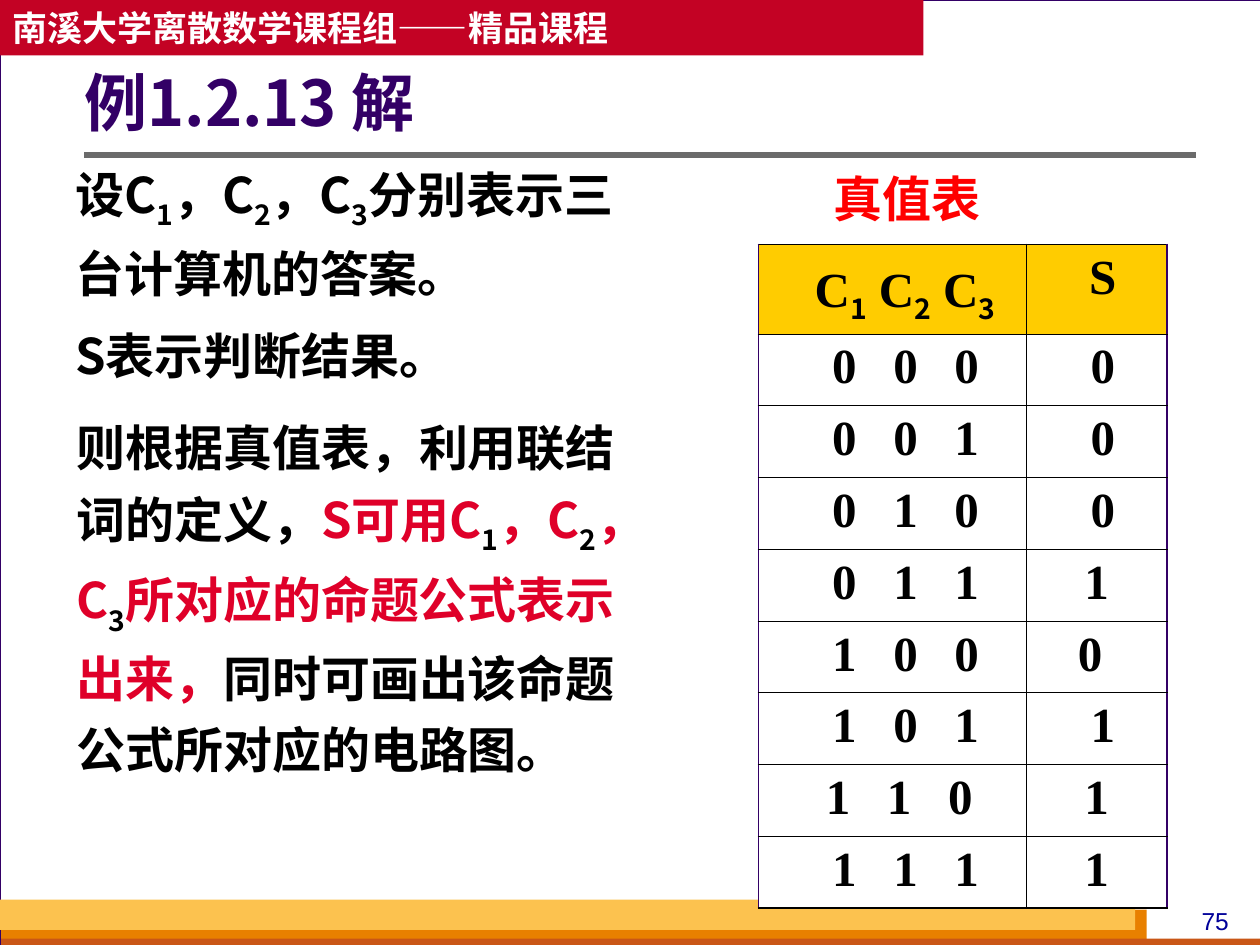
from lxml.etree import SubElement
from pptx import Presentation
from pptx.dml.color import RGBColor
from pptx.enum.shapes import MSO_CONNECTOR, MSO_SHAPE
from pptx.enum.text import MSO_ANCHOR, PP_ALIGN
from pptx.oxml.ns import qn
from pptx.util import Inches, Pt

WIDTH, HEIGHT = Inches(10), Inches(7.5)
COLS, ROWS = 100, 75
SANS, SERIF = "Noto Sans CJK SC", "Times New Roman"
BLACK, WHITE, PURPLE, RED = "000000", "FFFFFF", "330066", "DF0029"

# bits, result, and the half-steps by which each text sits further left
TRUTH_ROWS = [
    ("0 0 0", "0", 0, 0), ("0 0 1", "0", 0, 0),
    ("0 1 0", "0", 0, 0), ("0 1 1", "1", 0, 1),
    ("1 0 0", "0", 0, 2), ("1 0 1", "1", 0, 0),
    ("1 1 0", "1", 1, 1), ("1 1 1", "1", 0, 1),
]


def color(hex_code):
    return RGBColor.from_string(hex_code)


def x(cols):
    return round(WIDTH * cols / COLS)


def y(rows):
    return round(HEIGHT * rows / ROWS)


def place(left, top, width, height):
    """Turn grid columns and rows into slide lengths."""
    return x(left), y(top), x(width), y(height)


def format_run(r, size, hex_code, font=SANS, bold=True, baseline=0):
    r.font.size, r.font.bold, r.font.name = Pt(size), bold, font
    r.font.color.rgb = color(hex_code)
    r_pr = r.font._element
    SubElement(r_pr, qn("a:ea")).set("typeface", font)
    if baseline:
        r_pr.set("baseline", str(baseline * 1000))


def add_runs(p, parts, size=28, font=SANS, bold=True):
    """Write (text, colour) parts; a part that is only a digit is a subscript."""
    for text, hex_code in parts:
        r = p.add_run()
        r.text = text
        sub = text in ("1", "2", "3")
        format_run(r, size, hex_code, SANS if sub else font, bold, -25 if sub else 0)


def add_rect(s, box, fill, line=None):
    sp = s.shapes.add_shape(MSO_SHAPE.RECTANGLE, *place(*box))
    sp.shadow.inherit = False
    sp.fill.solid()
    sp.fill.fore_color.rgb = color(fill)
    if line:
        sp.line.color.rgb = color(line)
        sp.line.width = Pt(0.75)
    else:
        sp.line.fill.background()
    return sp


def add_text(s, box, paragraphs, size=28, font=SANS, bold=True, spacing=None, before=None):
    tf = s.shapes.add_textbox(*place(*box)).text_frame
    tf.word_wrap = True
    for i, parts in enumerate(paragraphs):
        p = tf.add_paragraph() if i else tf.paragraphs[0]
        p.line_spacing = spacing
        if before:
            p.space_before = Pt(before)
        p._p.get_or_add_pPr().set("hangingPunct", "0")
        add_runs(p, parts, size, font, bold)
    return tf


def add_frame(s):
    """Draw the header band, the footer bands, the title rule and the page number."""
    add_rect(s, (0, 0, 100.1, 75), WHITE, PURPLE)
    tf = add_rect(s, (0, 0, 73.3, 4.4), "C30224").text_frame
    tf.vertical_anchor = MSO_ANCHOR.MIDDLE
    tf.paragraphs[0].alignment = PP_ALIGN.LEFT
    add_runs(tf.paragraphs[0], [("南溪大学离散数学课程组——精品课程", WHITE)], 20)
    add_rect(s, (0.1, 72.2, 90.9, 2.8), "E88000")
    add_rect(s, (0.1, 74.5, 100, 0.8), "C95616")
    add_rect(s, (0, 71.4, 90.1, 2.4), "FCC24F")
    tf = add_text(s, (93.3, 71.4, 6.3, 3.4), [[("75", "000099")]], 14, "Arial",
                  bold=False, before=8.8)
    tf.paragraphs[0].alignment = PP_ALIGN.CENTER
    rule = s.shapes.add_connector(MSO_CONNECTOR.STRAIGHT, x(6.7), y(12.3), x(94.9), y(12.3))
    rule.line.color.rgb = color("6B6B6B")
    rule.line.width = Pt(3)
    SubElement(rule._element.spPr, qn("a:effectLst"))


def set_borders(cell, edges):
    """Draw the cell's edges, given as (colour, points) for left, right, top, bottom."""
    tc_pr = cell._tc.get_or_add_tcPr()
    for i, (tag, (hex_code, width)) in enumerate(zip(("lnL", "lnR", "lnT", "lnB"), edges)):
        ln = tc_pr.makeelement(qn(f"a:{tag}"), {"w": str(Pt(width))})
        fill = SubElement(ln, qn("a:solidFill"))
        SubElement(fill, qn("a:srgbClr")).set("val", hex_code)
        tc_pr.insert(i, ln)


def fill_cell(cell, parts, fill, left, nudge=0, tracking=0):
    cell.fill.solid()
    cell.fill.fore_color.rgb = color(fill)
    cell.margin_left, cell.margin_right = Inches(left), Inches(0.1 + 0.1 * nudge)
    p = cell.text_frame.paragraphs[0]
    p.alignment = PP_ALIGN.CENTER
    for text, sub in parts:
        r = p.add_run()
        r.text = text
        format_run(r, 28, BLACK, SANS if sub else SERIF, baseline=-25 if sub else 0)
        if tracking:
            r.font._element.set("spc", str(tracking * 100))


def add_truth_table(s):
    count = len(TRUTH_ROWS) + 1
    table = s.shapes.add_table(count, 2, *place(60.2, 19.4, 32.4, 52.7)).table
    for col, width in zip(table.columns, (21.25, 11.15)):
        col.width = x(width)
    for i, row in enumerate(table.rows):
        row.height = y(5.7 if i else 7.1)

    variables = [("C", 0), ("1", 1), (" C", 0), ("2", 1), (" C", 0), ("3", 1)]
    fill_cell(table.cell(0, 0), variables, "FFCC00", 0.3)
    fill_cell(table.cell(0, 1), [("S", 0)], "FFCC00", 0.2)
    for i, (bits, result, bits_nudge, result_nudge) in enumerate(TRUTH_ROWS, 1):
        fill_cell(table.cell(i, 0), [(bits, 0)], WHITE, 0.31, bits_nudge, tracking=7)
        fill_cell(table.cell(i, 1), [(result, 0)], WHITE, 0.2, result_nudge)

    inner, side, end = (BLACK, 0.45), (PURPLE, 1.08), (BLACK, 1.08)
    for i in range(count):
        top = inner if i else end
        bottom = inner if i < count - 1 else end
        set_borders(table.cell(i, 0), (side, inner, top, bottom))
        set_borders(table.cell(i, 1), (inner, side, top, bottom))


def main():
    prs = Presentation()
    prs.slide_width, prs.slide_height = WIDTH, HEIGHT
    s = prs.slides.add_slide(prs.slide_layouts[6])
    s.background.fill.solid()
    s.background.fill.fore_color.rgb = color("D8DADA")

    add_frame(s)
    title = add_text(s, (6.7, 4.6, 88.2, 7.7), [[("例1.2.13 解", PURPLE)]], 36, spacing=0.9)
    title.margin_left = 0
    title.vertical_anchor = MSO_ANCHOR.MIDDLE

    definition = [(t, BLACK) for t in
                  ("设C", "1", "，C", "2", "，C", "3", "分别表示三台计算机的答案。")]
    add_text(s, (5, 11.5, 45.8, 19.7), [definition, [("S表示判断结果。", BLACK)]],
             spacing=1.2, before=7)
    add_truth_table(s)
    add_text(s, (65.2, 12.9, 14.4, 5.7), [[("真值表", "FF0000")]])
    conclusion = [
        ("则根据真值表，利用联结词的定义，", BLACK),
        ("S可用C", RED), ("1", BLACK), ("，C", RED), ("2", BLACK), ("，C", RED), ("3", BLACK),
        ("所对应的命题公式表示出来，", RED),
        ("同时可画出该命题公式所对应的电路图。", BLACK),
    ]
    add_text(s, (5.1, 31.7, 48, 30.6), [conclusion], spacing=1.2, before=7)
    prs.save("out.pptx")


if __name__ == "__main__":
    main()
